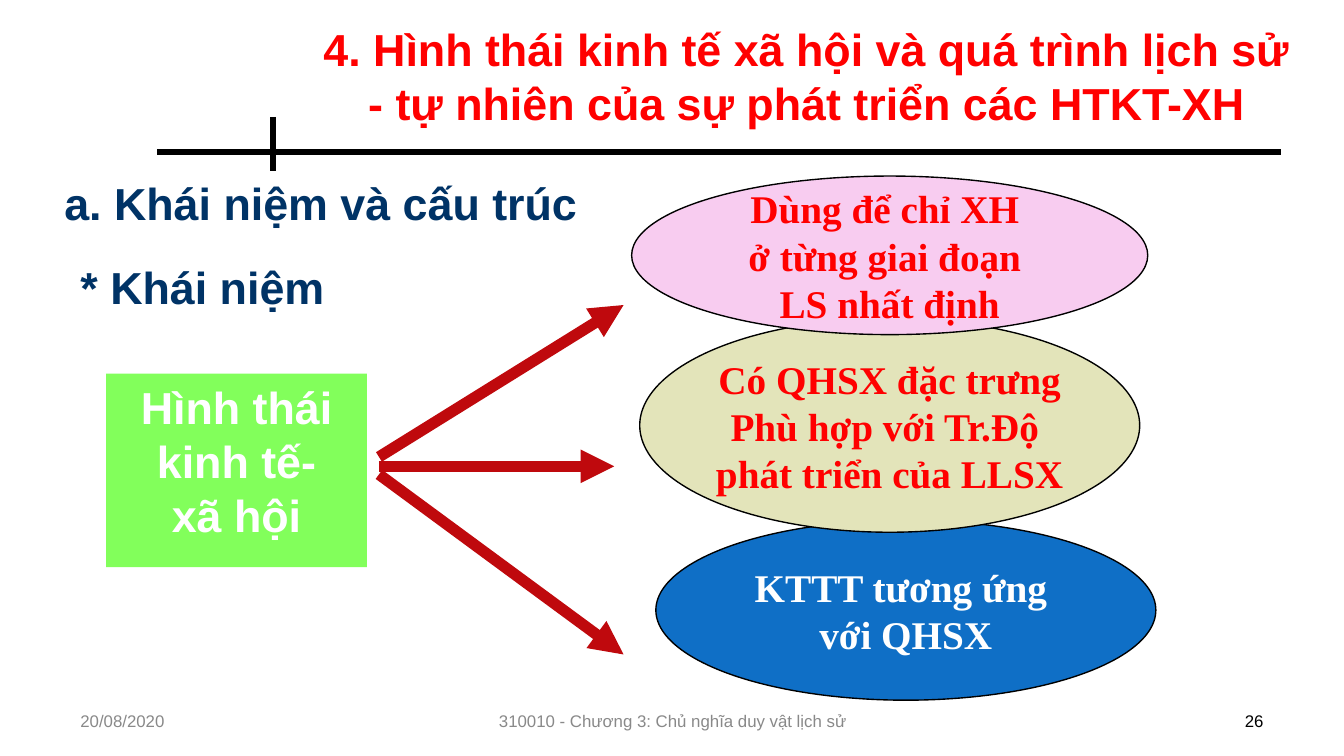
from lxml.etree import SubElement
from pptx import Presentation
from pptx.dml.color import RGBColor
from pptx.enum.shapes import MSO_CONNECTOR as Connector, MSO_SHAPE as Shape
from pptx.enum.text import MSO_ANCHOR as Anchor, PP_ALIGN as Align
from pptx.oxml.ns import qn
from pptx.util import Inches, Pt

BLACK = RGBColor(0x00, 0x00, 0x00)
WHITE = RGBColor(0xFF, 0xFF, 0xFF)
RED = RGBColor(0xFF, 0x00, 0x00)
DARK_RED = RGBColor(0xBF, 0x09, 0x0D)
NAVY = RGBColor(0x00, 0x33, 0x66)
GREY = RGBColor(0x89, 0x89, 0x89)
GREEN = RGBColor(0x82, 0xFF, 0x5B)
BLUE = RGBColor(0x0F, 0x6F, 0xC6)
BEIGE = RGBColor(0xE3, 0xE4, 0xBA)
PINK = RGBColor(0xF8, 0xCC, 0xF0)


def write_text(shape, text, size, color, bold=True, font="Arial",
               align=Align.LEFT, anchor=Anchor.TOP, wrap=True):
    text_frame = shape.text_frame
    text_frame.text = text
    text_frame.word_wrap = wrap
    text_frame.vertical_anchor = anchor
    for paragraph in text_frame.paragraphs:
        paragraph.alignment = align
        for run in paragraph.runs:
            run.font.name = font
            run.font.size = Pt(size)
            run.font.bold = bold
            run.font.color.rgb = color


def add_text(slide, box, text, size, color, **style):
    shape = slide.shapes.add_textbox(*map(Inches, box))
    write_text(shape, text, size, color, **style)


def add_filled_shape(slide, kind, box, fill):
    shape = slide.shapes.add_shape(kind, *map(Inches, box))
    shape.shadow.inherit = False
    shape.fill.solid()
    shape.fill.fore_color.rgb = fill
    shape.line.fill.background()
    return shape


def add_ellipse(slide, box, fill, text, color):
    ellipse = add_filled_shape(slide, Shape.OVAL, box, fill)
    ellipse.line.color.rgb = BLACK
    ellipse.line.width = Pt(0.75)
    write_text(ellipse, text, 21, color, font="Times New Roman",
               align=Align.CENTER, anchor=Anchor.MIDDLE, wrap=False)


def add_line(slide, start, end, color, width, arrow=False):
    line = slide.shapes.add_connector(
        Connector.STRAIGHT, *map(Inches, (*start, *end)))
    line.line.color.rgb = color
    line.line.width = Pt(width)
    if arrow:
        SubElement(line.line._get_or_add_ln(), qn("a:tailEnd"), type="triangle")
    SubElement(line._element.spPr, qn("a:effectLst"))


def add_footer(slide, left, width, text, color, align):
    add_text(slide, (left, 5.21, width, 0.3), text, 9, color, bold=False,
             align=align, anchor=Anchor.MIDDLE)


def main():
    presentation = Presentation()
    presentation.slide_width = Inches(10)
    presentation.slide_height = Inches(10 * 9 / 16)
    slide = presentation.slides.add_slide(presentation.slide_layouts[6])

    add_line(slide, (1.17, 1.13), (9.53, 1.13), BLACK, 3)
    add_line(slide, (2.03, 0.87), (2.03, 1.27), BLACK, 3)

    concept = add_filled_shape(slide, Shape.RECTANGLE, (0.79, 2.78, 1.94, 1.44), GREEN)
    write_text(concept, "Hình thái\nkinh tế-\nxã hội", 24, WHITE, align=Align.CENTER)

    # Each ellipse overlaps the one below it, so the lowest is drawn first.
    add_ellipse(slide, (4.88, 3.87, 3.72, 1.34), BLUE,
                "KTTT tương ứng \nvới QHSX", WHITE)
    add_ellipse(slide, (4.76, 2.37, 3.72, 1.59), BEIGE,
                "Có QHSX đặc trưng\nPhù hợp với Tr.Độ \nphát triển của LLSX", RED)
    add_ellipse(slide, (4.7, 1.31, 3.84, 1.18), PINK,
                "Dùng để chỉ XH \nở từng giai đoạn \nLS nhất định", RED)

    for start_y, end in ((3.47, (4.57, 3.47)), (3.4, (4.64, 2.27)), (3.53, (4.64, 4.87))):
        add_line(slide, (2.82, start_y), end, DARK_RED, 6, arrow=True)

    add_text(slide, (0.5, 1.88, 3.75, 0.5), "* Khái niệm", 24, NAVY)
    add_footer(slide, 0.5, 2.33, "20/08/2020", GREY, Align.LEFT)
    add_footer(slide, 3.42, 3.17, "310010 - Chương 3: Chủ nghĩa duy vật lịch sử",
               GREY, Align.CENTER)
    add_footer(slide, 7.17, 2.33, "26", BLACK, Align.RIGHT)
    add_text(slide, (2.25, 0.05, 7.5, 1.02),
             "4. Hình thái kinh tế xã hội và quá trình lịch sử "
             "- tự nhiên của sự phát triển các HTKT-XH",
             24, RED, align=Align.CENTER, anchor=Anchor.MIDDLE)
    add_text(slide, (0.38, 1.26, 4.18, 0.5), "a. Khái niệm và cấu trúc", 24, NAVY)

    presentation.save("out.pptx")


if __name__ == "__main__":
    main()
